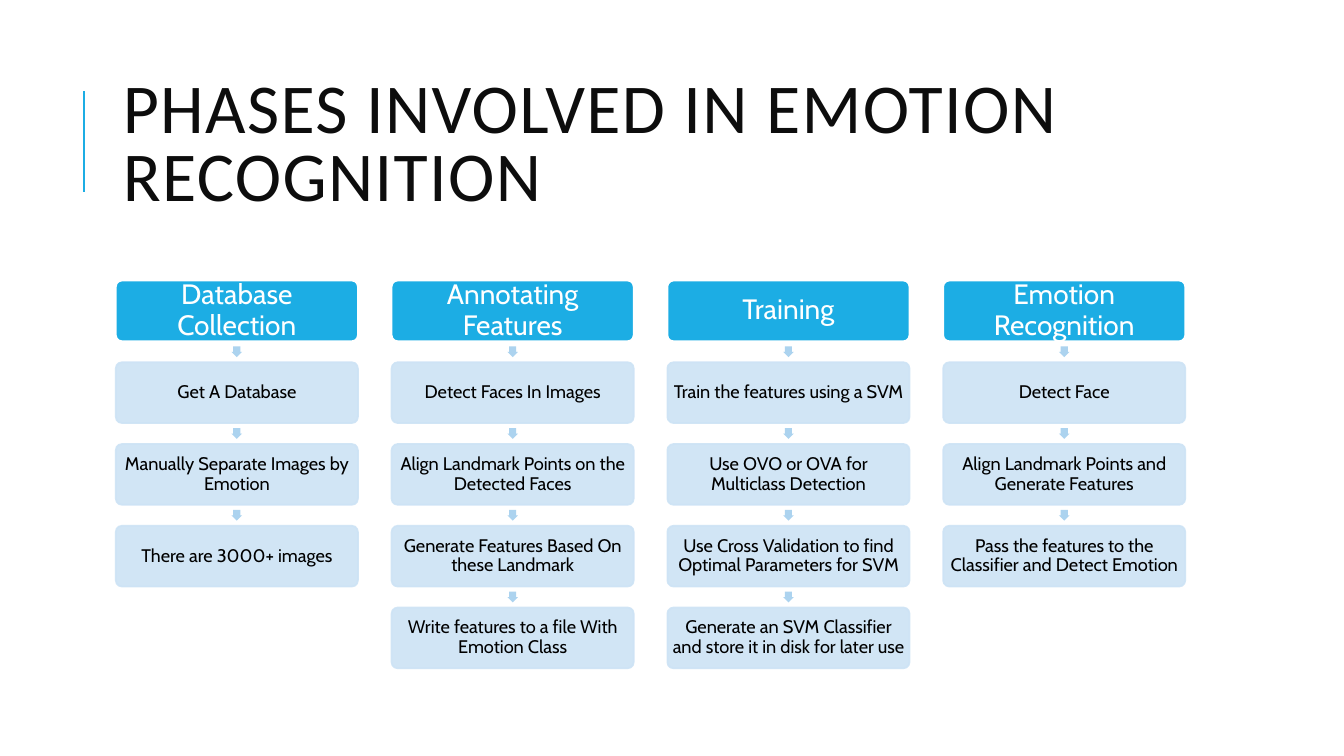
"""Build the slide on the phases involved in emotion recognition."""
import pptx
import pptx.dml.color
import pptx.enum.shapes
import pptx.enum.text
import pptx.oxml.ns
import pptx.util
from lxml import etree

Cm, Pt = pptx.util.Cm, pptx.util.Pt
MSO_SHAPE = pptx.enum.shapes.MSO_SHAPE
PP_ALIGN = pptx.enum.text.PP_ALIGN
MIDDLE = pptx.enum.text.MSO_ANCHOR.MIDDLE
qn = pptx.oxml.ns.qn


def rgb(value):
    return pptx.dml.color.RGBColor.from_string(value)


def style_text(tf, text, font, size, color, align, spacing):
    tf.text = text
    tf.word_wrap = True
    tf.auto_size = pptx.enum.text.MSO_AUTO_SIZE.NONE
    tf.vertical_anchor = MIDDLE
    p = tf.paragraphs[0]
    p.alignment = align
    p.line_spacing = spacing
    p.font.name = font
    p.font.size = Pt(size)
    p.font.color.rgb = rgb(color)
    return p


phases = [
    ("Database Collection", [
        "Get A Database",
        "Manually Separate Images by Emotion",
        "There are 3000+ images"]),
    ("Annotating Features", [
        "Detect Faces In Images",
        "Align Landmark Points on the Detected Faces",
        "Generate Features Based On these Landmark",
        "Write features to a file With Emotion Class"]),
    ("Training", [
        "Train the features using a SVM",
        "Use OVO or OVA for Multiclass Detection",
        "Use Cross Validation to find Optimal Parameters for SVM",
        "Generate an SVM Classifier and store it in disk for later use"]),
    ("Emotion Recognition", [
        "Detect Face",
        "Align Landmark Points and Generate Features",
        "Pass the features to the Classifier and Detect Emotion"]),
]

prs = pptx.Presentation()
prs.slide_width, prs.slide_height = Cm(33.87), Cm(19.05)
slide = prs.slides.add_slide(prs.slide_layouts[5])
shapes = slide.shapes

title = shapes.title
title.left, title.top, title.width, title.height = Cm(2.84), Cm(1.63), Cm(27), Cm(4.17)
p = style_text(title.text_frame, "PHASES INVOLVED IN EMOTION RECOGNITION",
               "Calibri", 50, "0D0D0D", PP_ALIGN.LEFT, 0.8)
p.runs[0]._r.get_or_add_rPr().set("spc", "100")

rule = shapes.add_connector(pptx.enum.shapes.MSO_CONNECTOR.STRAIGHT,
                            Cm(2.12), Cm(4.83), Cm(2.12), Cm(2.29))
rule.line.color.rgb = rgb("1CADE4")
rule.line.width = Pt(1.5)
etree.SubElement(rule._element.spPr, qn("a:effectLst"))

left, top = 2.92, 7.07
box_w, box_h = 6.1, 1.53
col_step, row_step = 6.95, 2.06
arrow = 0.27

for col, (phase, steps) in enumerate(phases):
    x = left + col * col_step
    for row, text in enumerate([phase] + steps):
        y = top + row * row_step
        if row == 0:
            fill, line, size, color, inset = "1CADE4", "FFFFFF", 20, "FFFFFF", 0.07
        else:
            fill, line, size, color, inset = "CDE3F5", "CDE3F5", 13, "000000", 0.05
            sp = shapes.add_shape(
                MSO_SHAPE.DOWN_ARROW, Cm(x + (box_w - arrow) / 2),
                Cm(y - (row_step - box_h + arrow) / 2), Cm(arrow), Cm(arrow))
            sp.adjustments[0], sp.adjustments[1] = 0.667, 0.5
            sp.shadow.inherit = False
            sp.fill.solid()
            sp.fill.fore_color.rgb = rgb("ACD3EF")
            sp.line.fill.background()

        sp = shapes.add_shape(MSO_SHAPE.ROUNDED_RECTANGLE,
                              Cm(x), Cm(y), Cm(box_w), Cm(box_h))
        sp.adjustments[0] = 0.1
        sp.shadow.inherit = False
        sp.fill.solid()
        sp.fill.fore_color.rgb = rgb(fill)
        sp.line.color.rgb = rgb(line)
        sp.line.width = Pt(1.25)
        if row > 0:
            for clr in sp._element.spPr.iter(qn("a:srgbClr")):
                etree.SubElement(clr, qn("a:alpha"), val="90000")
        tf = sp.text_frame
        tf.margin_left = tf.margin_right = tf.margin_top = tf.margin_bottom = Cm(inset)
        style_text(tf, text, "Cabin", size, color, PP_ALIGN.CENTER, 0.9)

prs.save("out.pptx")
